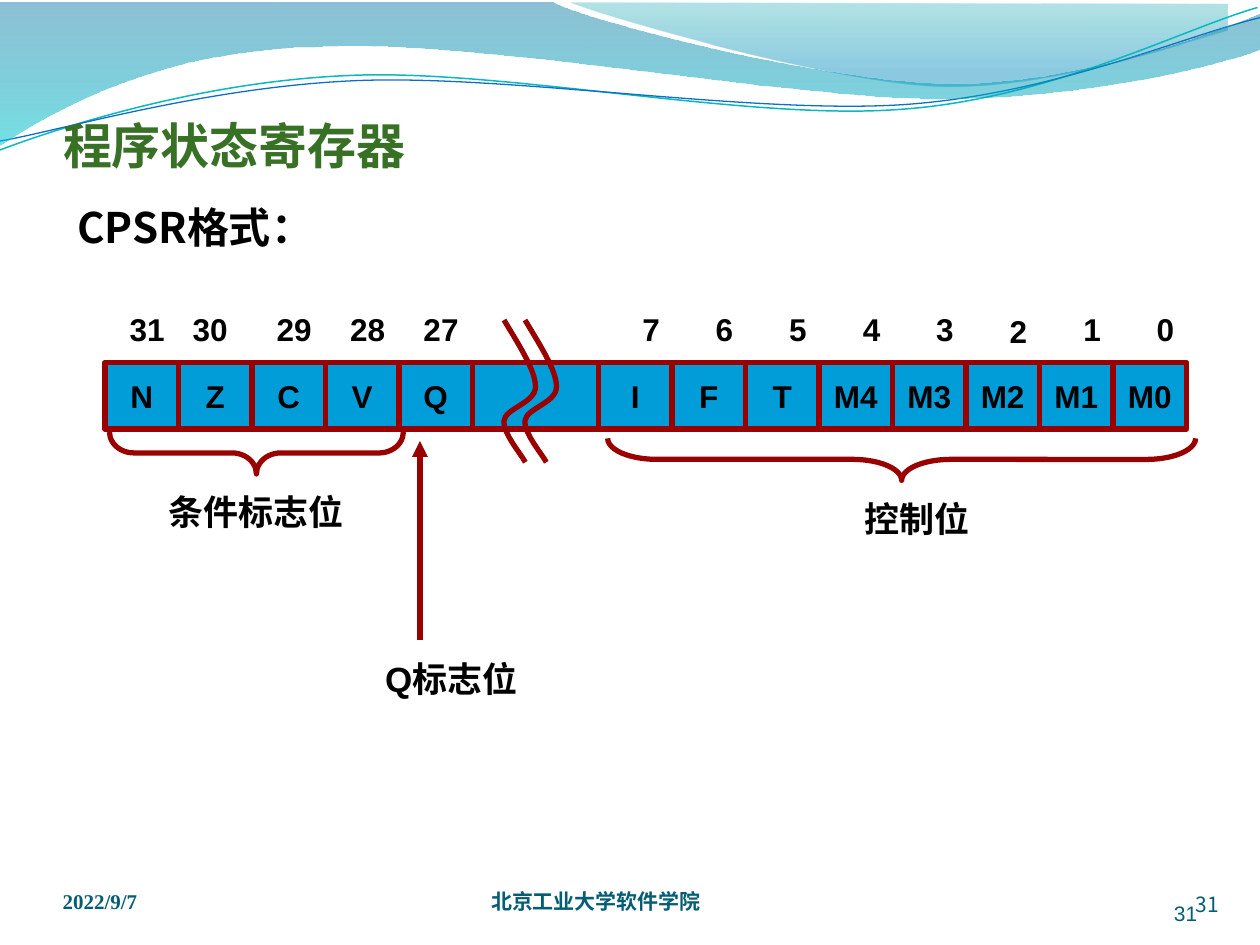
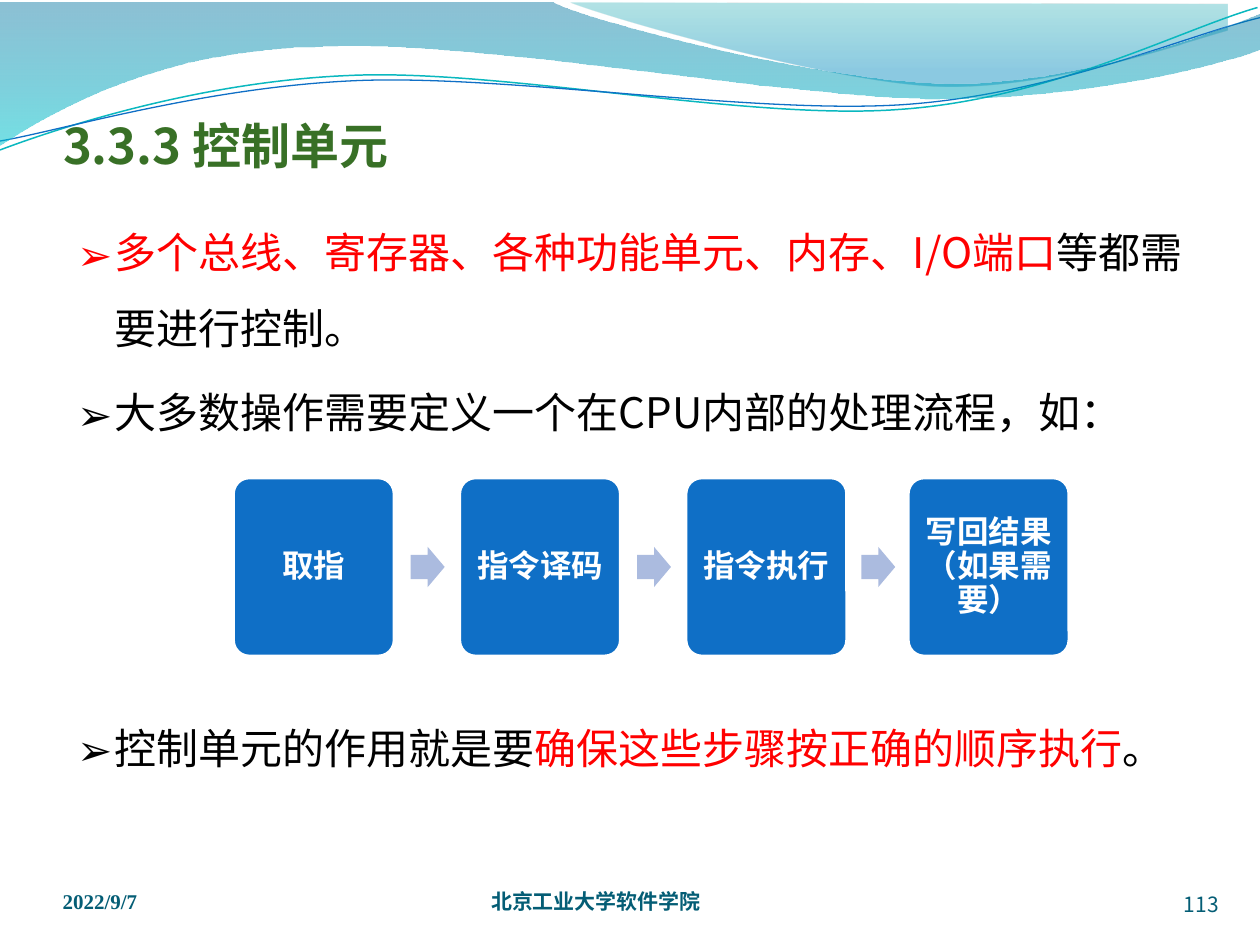
from dataclasses import dataclass

from lxml.etree import SubElement
from pptx import Presentation
from pptx.dml.color import RGBColor as Rgb
from pptx.enum.shapes import MSO_CONNECTOR as Connector
from pptx.enum.shapes import MSO_SHAPE as Preset
from pptx.enum.text import MSO_ANCHOR as Anchor
from pptx.enum.text import MSO_AUTO_SIZE as AutoSize
from pptx.enum.text import PP_ALIGN as Align
from pptx.oxml.ns import qn
from pptx.util import Pt


@dataclass(frozen=True)
class Theme:
    """Colours, fonts and type sizes of the deck."""
    title: Rgb = Rgb.from_string("387026")
    footer: Rgb = Rgb.from_string("045D75")
    ink: Rgb = Rgb.from_string("000000")
    accent: Rgb = Rgb.from_string("FF0000")
    white: Rgb = Rgb.from_string("FFFFFF")
    cell: Rgb = Rgb.from_string("009DD9")
    outline: Rgb = Rgb.from_string("990000")
    step: Rgb = Rgb.from_string("0F6FC6")
    arrow: Rgb = Rgb.from_string("ABBBDF")
    teal: Rgb = Rgb.from_string("0AB8BF")
    hans: str = "Noto Sans CJK SC"
    sans: str = "Arial"
    serif: str = "Times New Roman"
    title_size: int = 28
    body_size: int = 24
    caption_size: int = 20
    label_size: int = 18
    footer_size: int = 12


THEME = Theme()
PATCH = ((326.2, 1.4), (347.8, 10.1, 472.3, 46.1, 534.2, 49),
         (596.9, 51.8, 673.2, 25.2, 701.3, 17.3), (701.3, 2.2))
TEAL_CURVE = ((0, 85.7), (34.6, 72.7, 113.8, 46.8, 198.7, 43.2),
              (284.4, 38.9, 426.2, 69.1, 513.4, 62.6),
              (599.8, 56.9, 675.4, 16.6, 718.6, 4.3))
BLUE_CURVE = ((0, 80.6), (33.8, 74.9, 117.4, 49.7, 203.8, 46.1),
              (289.4, 42.5, 429.8, 65.5, 516.2, 59.8),
              (601.9, 54, 677.5, 20.2, 720, 10.1))
WAVE = ((-0.7, 1.4), (316.1, 1.4), (342, 13.7, 476.6, 47.5, 545, 47.5),
        (613.4, 47.5, 689, 20.2, 719.3, 7.9), (720, 28.1),
        (707, 33.8, 625.7, 56.2, 536.4, 56.2),
        (447.1, 56.2, 274.3, 22.3, 184.3, 26.6),
        (92.2, 27.4, 32.4, 61.9, -1.4, 83.5))
BREAK_MARK = ((288, 182.9), (296.6, 197.3, 306, 211.7, 306, 221),
              (306, 230.4, 288.7, 233.3, 288, 240.5),
              (287.3, 247.7, 298.1, 259.9, 300.2, 264.2))
CELL_TOP, CELL_WIDTH, CELL_HEIGHT = 207, 42, 38.2
BODY_BOX = (37, 111.6, 648, 380)


def add_run(paragraph, text, size, color, font=THEME.hans, bold=False):
    """Append one formatted run to a paragraph."""
    run = paragraph.add_run()
    run.text = text
    run.font.size = Pt(size)
    run.font.bold = bold
    run.font.color.rgb = color
    run.font.name = font
    SubElement(run._r.get_or_add_rPr(), qn("a:ea"), typeface=THEME.hans)


def set_frame(frame, anchor, insets=(7.2, 3.6, 7.2, 3.6), wrap=True):
    """Set anchor, insets and wrapping of a text frame."""
    frame.auto_size = AutoSize.NONE
    frame.word_wrap = wrap
    frame.vertical_anchor = anchor
    (frame.margin_left, frame.margin_top,
     frame.margin_right, frame.margin_bottom) = map(Pt, insets)
    return frame


def add_text_frame(slide, box, anchor=Anchor.TOP, **options):
    """Add a text box and return its frame."""
    return set_frame(slide.shapes.add_textbox(*map(Pt, box)).text_frame,
                     anchor, **options)


def add_label(slide, box, text, size):
    """Add a bold centred label."""
    paragraph = add_text_frame(slide, box).paragraphs[0]
    paragraph.alignment = Align.CENTER
    add_run(paragraph, text, size, THEME.ink, THEME.sans, True)


def add_footer(slide, box, text, font=THEME.hans, bold=False, align=Align.LEFT):
    """Add one footer entry."""
    frame = add_text_frame(slide, box, Anchor.BOTTOM, insets=(0, 0, 0, 0))
    frame.paragraphs[0].alignment = align
    add_run(frame.paragraphs[0], text, THEME.footer_size, THEME.footer, font, bold)


def bend(outline, segments):
    """Turn the straight segments that have control points into cubic curves."""
    lines = list(outline.element.spPr.iter(qn("a:lnTo")))
    for line, segment in zip(lines, segments):
        if len(segment) == 6:
            curve = line.makeelement(qn("a:cubicBezTo"))
            for x, y in zip(segment[::2], segment[1::2]):
                SubElement(curve, qn("a:pt"), x=str(Pt(x) - outline.left),
                           y=str(Pt(y) - outline.top))
            line.getparent().replace(line, curve)


def add_outline(slide, path, close, shift=0):
    """Build a freeform from corners and cubic curves."""
    nodes = [(Pt(node[-2]), Pt(node[-1])) for node in path]
    builder = slide.shapes.build_freeform(*nodes[0])
    builder.add_line_segments(nodes[1:], close=close)
    outline = builder.convert_to_shape()
    bend(outline, path[1:])
    outline.left += Pt(shift)
    outline.shadow.inherit = False
    return outline


def add_curve(slide, path, color, width, shift=0):
    """Draw an open curved line."""
    curve = add_outline(slide, path, False, shift)
    curve.fill.background()
    curve.line.color.rgb = color
    curve.line.width = Pt(width)


def add_wave(slide, path, stops):
    """Draw a wave filled with a translucent vertical gradient."""
    wave = add_outline(slide, path, True)
    wave.line.fill.background()
    wave.fill.gradient()
    wave.fill.gradient_angle = 270
    for stop, (position, color, _) in zip(wave.fill.gradient_stops, stops):
        stop.position = position
        stop.color.rgb = Rgb.from_string(color)
    for tint, (_, _, opacity) in zip(wave.element.spPr.iter(qn("a:srgbClr")), stops):
        SubElement(tint, qn("a:alpha"), val=str(opacity * 1000))


def add_preset(slide, preset, box, fill=None, line=None, width=3, adjust=()):
    """Add a preset shape with the given fill and line."""
    shape = slide.shapes.add_shape(preset, *map(Pt, box))
    shape.shadow.inherit = False
    for index, value in enumerate(adjust):
        shape.adjustments[index] = value
    if fill is None:
        shape.fill.background()
    else:
        shape.fill.solid()
        shape.fill.fore_color.rgb = fill
    if line is None:
        shape.line.fill.background()
    else:
        shape.line.color.rgb = line
        shape.line.width = Pt(width)
    return shape


def add_cell(slide, left, width=CELL_WIDTH, flag=None):
    """Add one register cell."""
    cell = add_preset(slide, Preset.RECTANGLE, (left, CELL_TOP, width, CELL_HEIGHT),
                      THEME.cell, THEME.outline)
    if flag:
        paragraph = set_frame(cell.text_frame, Anchor.MIDDLE, wrap=False).paragraphs[0]
        paragraph.alignment = Align.CENTER
        add_run(paragraph, flag, THEME.label_size, THEME.ink, THEME.sans, True)


def add_brace(slide, left, top, span, curl, depth=24):
    """Add a brace that opens upwards over a span."""
    box = (left + (span - depth) / 2, top - (span - depth) / 2, depth, span)
    brace = add_preset(slide, Preset.RIGHT_BRACE, box, line=THEME.outline,
                       adjust=(curl, 0.5))
    brace.rotation = 90


def add_pointer(slide, x, bottom, top):
    """Add a vertical arrow that points up."""
    pointer = slide.shapes.add_connector(Connector.STRAIGHT,
                                         Pt(x), Pt(bottom), Pt(x), Pt(top))
    pointer.line.color.rgb = THEME.outline
    pointer.line.width = Pt(3)
    SubElement(pointer.line._get_or_add_ln(), qn("a:tailEnd"), type="triangle")
    SubElement(pointer.element.spPr, qn("a:effectLst"))


def add_bullet(paragraph, runs, before=5):
    """Fill a bulleted paragraph with coloured runs."""
    paragraph.line_spacing = 1.5
    paragraph.space_before = Pt(before)
    properties = paragraph._p.get_or_add_pPr()
    properties.set("marL", str(Pt(21.6)))
    properties.set("indent", str(Pt(-21.6)))
    SubElement(properties, qn("a:buFont"), typeface=THEME.hans)
    SubElement(properties, qn("a:buChar"), char="➢")
    for text, color in runs:
        add_run(paragraph, text, THEME.body_size, color)


def add_slide(deck, heading, number):
    """Add a slide with waves, footers and title."""
    slide = deck.slides.add_slide(deck.slide_layouts[5])
    add_wave(slide, PATCH, ((0, "00A1A9", 30), (0.8, "008BBF", 45)))
    add_curve(slide, TEAL_CURVE, THEME.teal, 0.85)
    add_curve(slide, BLUE_CURVE, THEME.step, 0.75)
    add_wave(slide, WAVE, ((0, "0074A1", 45), (1, "00C6CF", 55)))
    add_footer(slide, (35.8, 495.4, 168, 26.6), "2022/9/7", THEME.serif, True)
    add_footer(slide, (280.6, 495.4, 264, 26.6), "北京工业大学软件学院", bold=True)
    add_footer(slide, (636.5, 497, 60, 26.6), number, align=Align.RIGHT)
    title = slide.shapes.title
    title.left, title.top, title.width, title.height = map(Pt, (36, 54.8, 648, 44.6))
    paragraph = set_frame(title.text_frame, Anchor.BOTTOM, (0, 3.6, 0, 0)).paragraphs[0]
    paragraph.alignment = Align.LEFT
    add_run(paragraph, heading, THEME.title_size, THEME.title, bold=True)
    title.element.getparent().append(title.element)
    return slide


def build_register_slide(deck):
    """Show the layout of the program status register."""
    slide = add_slide(deck, "程序状态寄存器", "31")
    add_footer(slide, (624.2, 500.4, 60, 28.8), "31", THEME.sans, align=Align.RIGHT)
    add_run(add_text_frame(slide, BODY_BOX).paragraphs[0], "CPSR格式：",
            THEME.body_size, THEME.ink, bold=True)
    fields = ((60, 31, ("N", "Z", "C", "V", "Q"), 0),
              (342, 7, ("I", "F", "T", "M4", "M3", "M2", "M1", "M0"), 6))
    nudges = {30: (-6, 0), 2: (0, 1)}
    for start, high_bit, flags, shift in fields:
        for index, flag in enumerate(flags):
            left, bit = start + index * CELL_WIDTH, high_bit - index
            add_cell(slide, left, flag=flag)
            across, down = nudges.get(bit, (0, 0))
            add_label(slide, (left + shift + across, 173.5 + down, 48, 23),
                      str(bit), THEME.label_size)
    add_cell(slide, 270, width=72)
    for shift in (0, 12):
        add_curve(slide, BREAK_MARK, THEME.outline, 3, shift)
    add_brace(slide, 347.2, 250.5, 336, 1.17)
    add_brace(slide, 62.5, 246.8, 168, 0.58)
    add_pointer(slide, 240, 365.8, 252)
    for left, top, width, caption in ((460.8, 280.8, 126, "控制位"),
                                      (56.2, 276.8, 180, "条件标志位"),
                                      (168, 372.2, 180, "Q标志位")):
        add_label(slide, (left, top, width, 31.7), caption, THEME.caption_size)


def build_control_slide(deck):
    """Show the steps run by the control unit."""
    slide = add_slide(deck, "3.3.3 控制单元", "113")
    frame = add_text_frame(slide, BODY_BOX)
    add_bullet(frame.paragraphs[0],
               (("多个总线、寄存器、各种功能单元、内存、I/O端口", THEME.accent),
                ("等都需要进行控制。", THEME.ink)))
    add_bullet(frame.add_paragraph(),
               (("大多数操作需要定义一个在CPU内部的处理流程，如：", THEME.ink),))
    add_bullet(frame.add_paragraph(),
               (("控制单元的作用就是要", THEME.ink),
                ("确保这些步骤按正确的顺序执行", THEME.accent),
                ("。", THEME.ink)), before=148.5)
    top, width, height, arrow_width, arrow_height = 272.9, 92.2, 102.2, 19.4, 23
    steps = ("取指", "指令译码", "指令执行", "写回结果（如果需要）")
    lefts = (133.2, 262.5, 391.8, 518.8)
    for left, step in zip(lefts, steps):
        card = add_preset(slide, Preset.ROUNDED_RECTANGLE, (left, top, width, height),
                          THEME.step, THEME.white, 2, (0.1,))
        paragraph = set_frame(card.text_frame, Anchor.MIDDLE, (5, 5, 5, 5)).paragraphs[0]
        paragraph.alignment = Align.CENTER
        paragraph.line_spacing = 0.9
        add_run(paragraph, step, THEME.label_size, THEME.white, bold=True)
    for left, following in zip(lefts, lefts[1:]):
        arrow_left = (left + width + following - arrow_width) / 2 + 0.5
        arrow_top = top + (height - arrow_height) / 2
        add_preset(slide, Preset.RIGHT_ARROW,
                   (arrow_left, arrow_top, arrow_width, arrow_height),
                   THEME.arrow, adjust=(0.6, 0.5))


def main():
    """Build and save the deck."""
    deck = Presentation()
    deck.slide_width, deck.slide_height = Pt(720), Pt(540)
    build_register_slide(deck)
    build_control_slide(deck)
    deck.save("out.pptx")


if __name__ == "__main__":
    main()
